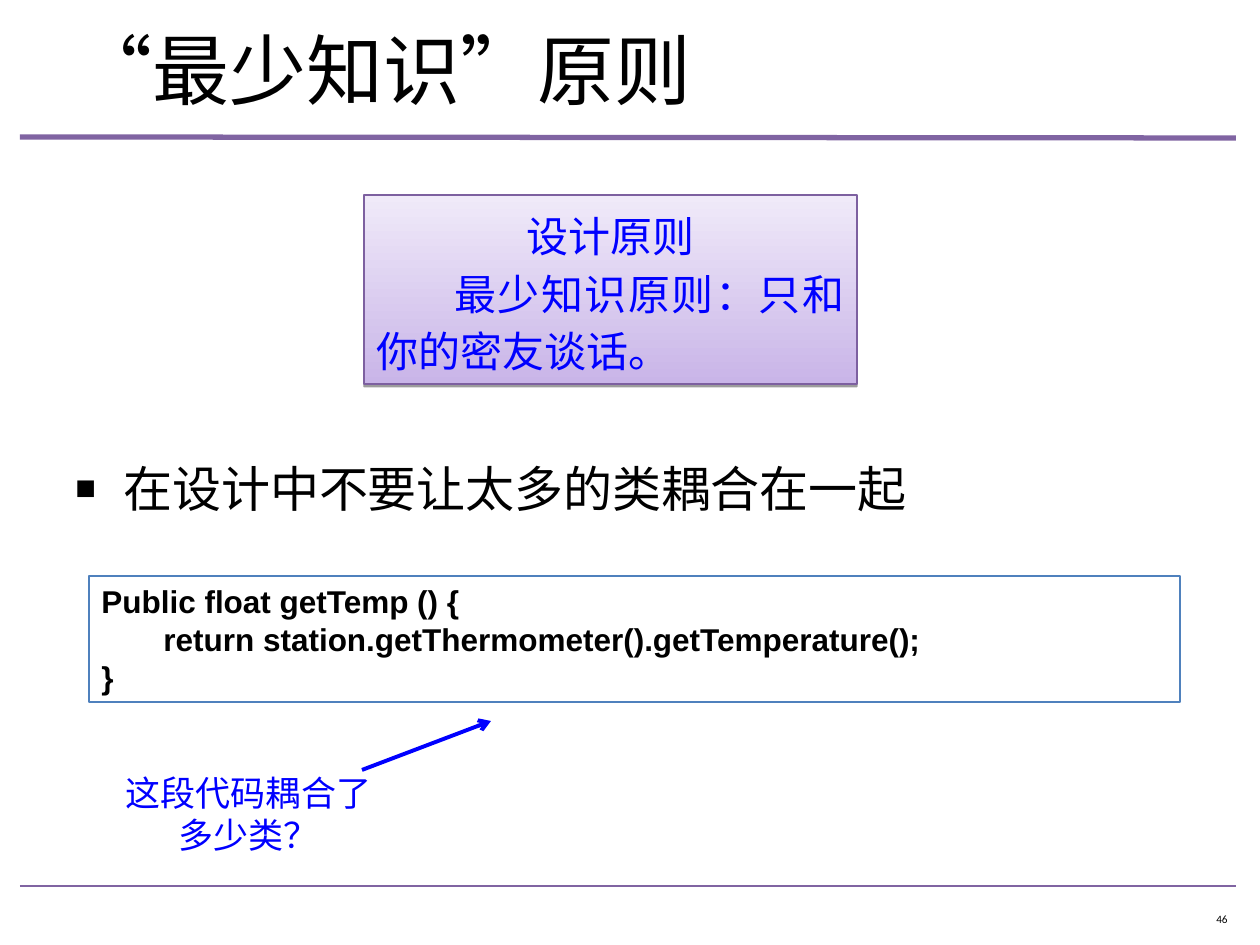
import pptx
import pptx.dml.color
import pptx.enum.shapes
import pptx.enum.text
import pptx.oxml.ns
import pptx.util
from lxml import etree

PX = 914400 // 126
CJK = "Noto Sans CJK SC"
ALIGN = pptx.enum.text.PP_ALIGN
ANCHOR = pptx.enum.text.MSO_ANCHOR

title_text = "“最少知识”原则"
point_text = "在设计中不要让太多的类耦合在一起"
principle_lines = [
    {"text": "设计原则", "align": ALIGN.CENTER},
    {"text": "最少知识原则：只和你的密友谈话。", "align": ALIGN.JUSTIFY, "indent": 78},
]
code_lines = [
    {"text": "Public float getTemp () {"},
    {"text": "return station.getThermometer().getTemperature();", "indent": 62},
    {"text": "}"},
]
question_text = "这段代码耦合了多少类？"
page_number = "46"
rules = [((20, 137, 1236, 138), 3), ((20, 886, 1236, 886), 1.5)]
pointer = (362, 770, 491, 721)


def px(*lengths):
    return [length * PX for length in lengths]


def color(value):
    return pptx.dml.color.RGBColor.from_string(value)


def add_xml(parent, tag, **attributes):
    element = etree.SubElement(parent, pptx.oxml.ns.qn(tag))
    for key, value in attributes.items():
        element.set(key, str(value))
    return element


def write(shape, lines, size, font=CJK, fill="000000", bold=False, align=ALIGN.LEFT,
          anchor=ANCHOR.TOP, spacing=1.0, before=0):
    frame = shape.text_frame
    frame.word_wrap = True
    frame.auto_size = pptx.enum.text.MSO_AUTO_SIZE.NONE
    frame.vertical_anchor = anchor
    for index, line in enumerate(lines):
        paragraph = frame.add_paragraph() if index else frame.paragraphs[0]
        paragraph.alignment = line.get("align", align)
        paragraph.line_spacing = spacing
        paragraph.space_before = pptx.util.Pt(before)
        properties = paragraph._p.get_or_add_pPr()
        properties.set("marL", str(line.get("margin", 0) * PX))
        properties.set("indent", str(line.get("indent", 0) * PX))
        if "bullet" in line:
            add_xml(properties, "a:buSzPct", val=70000)
            add_xml(properties, "a:buFont", typeface="Arial")
            add_xml(properties, "a:buChar", char=line["bullet"])
        run = paragraph.add_run()
        run.text = line["text"]
        run.font.size = pptx.util.Pt(size)
        run.font.bold = bold
        run.font.color.rgb = color(fill)
        run.font.name = font
        run._r.get_or_add_rPr().set("lang", "zh-CN")
        add_xml(run._r.get_or_add_rPr(), "a:ea", typeface=CJK)


def add_box(slide, box, border):
    shape = slide.shapes.add_shape(pptx.enum.shapes.MSO_SHAPE.RECTANGLE, *px(*box))
    shape.line.color.rgb = color(border)
    shape.line.width = pptx.util.Pt(0.75)
    shape.shadow.inherit = False
    return shape


def add_line(slide, ends, stroke, width, arrow=False):
    line = slide.shapes.add_connector(pptx.enum.shapes.MSO_CONNECTOR.STRAIGHT, *px(*ends))
    line.line.color.rgb = color(stroke)
    line.line.width = pptx.util.Pt(width)
    if arrow:
        add_xml(line.line._get_or_add_ln(), "a:tailEnd", type="arrow")
    add_xml(line._element.spPr, "a:effectLst")


def main():
    deck = pptx.Presentation()
    deck.slide_width, deck.slide_height = px(1260, 945)
    slide = deck.slides.add_slide(deck.slide_layouts[5])

    for ends, width in rules:
        add_line(slide, ends, "8064A2", width)

    title = slide.shapes.title
    title.left, title.top, title.width, title.height = px(63, 10, 1019, 118)
    write(title, [{"text": title_text}], 44, font="Times New Roman", anchor=ANCHOR.MIDDLE)

    point = slide.shapes.add_textbox(*px(63, 452, 1134, 100))
    write(point, [{"text": point_text, "bullet": "■", "margin": 48, "indent": -48}], 28,
          font="Times New Roman", before=6)

    number = slide.shapes.add_textbox(*px(946, 906, 294, 29))
    write(number, [{"text": page_number}], 6.4, font="Calibri", align=ALIGN.RIGHT,
          anchor=ANCHOR.MIDDLE, spacing=0.8)

    principle = add_box(slide, (364, 195, 493, 189), "7D60A0")
    principle.fill.gradient()
    principle.fill.gradient_angle = 90
    for stop, shade in zip(principle.fill.gradient_stops, ("C9B5E8", "F0EAF9")):
        stop.color.rgb = color(shade)
    effects = principle._element.spPr.find(pptx.oxml.ns.qn("a:effectLst"))
    shadow = add_xml(effects, "a:outerShdw", blurRad=0, dist=pptx.util.Pt(1.6),
                     dir=5400000, rotWithShape=0)
    add_xml(add_xml(shadow, "a:srgbClr", val="000000"), "a:alpha", val=38000)
    write(principle, principle_lines, 24, fill="0000FF", anchor=ANCHOR.MIDDLE, spacing=1.15)

    code = add_box(slide, (89, 576, 1091, 126), "4F81BD")
    code.fill.solid()
    code.fill.fore_color.rgb = color("FFFFFF")
    write(code, code_lines, 18, font="Arial", bold=True)

    question = slide.shapes.add_textbox(*px(112, 765, 273, 97))
    write(question, [{"text": question_text}], 20, fill="0000FF", align=ALIGN.CENTER)

    add_line(slide, pointer, "0000FF", 2.25, arrow=True)
    deck.save("out.pptx")


if __name__ == "__main__":
    main()
